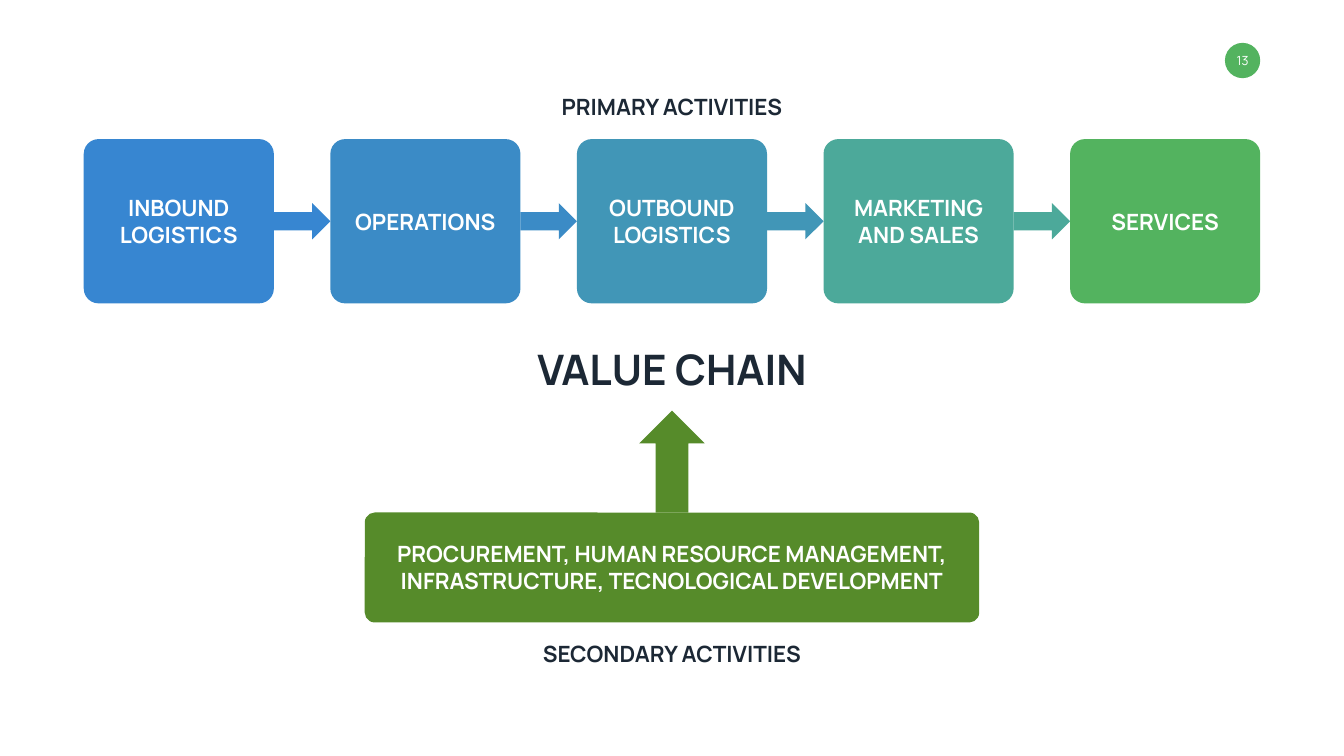
from dataclasses import dataclass
from pptx import Presentation
from pptx.dml.color import RGBColor
from pptx.enum.shapes import MSO_SHAPE
from pptx.enum.text import MSO_ANCHOR, MSO_AUTO_SIZE, PP_ALIGN
from pptx.util import Cm, Pt

ROUND, OVAL = MSO_SHAPE.ROUNDED_RECTANGLE, MSO_SHAPE.OVAL
RIGHT, UP = MSO_SHAPE.RIGHT_ARROW, MSO_SHAPE.UP_ARROW
MIDDLE, CENTER, FIXED = MSO_ANCHOR.MIDDLE, PP_ALIGN.CENTER, MSO_AUTO_SIZE.NONE

TITLE = "VALUE CHAIN"
PAGE = "13"
STEPS = [
    ("INBOUND LOGISTICS", "3786D1"),
    ("OPERATIONS", "3B8BC6"),
    ("OUTBOUND LOGISTICS", "4196B7"),
    ("MARKETING AND SALES", "4CA99A"),
    ("SERVICES", "53B35F"),
]
SUPPORT = ("PROCUREMENT, HUMAN RESOURCE MANAGEMENT, "
           "INFRASTRUCTURE, TECNOLOGICAL DEVELOPMENT")
LABELS = [  # text, top, width
    ("PRIMARY ACTIVITIES", 4.57, 12.17),
    ("SECONDARY ACTIVITIES", 32.11, 14.1),
]


@dataclass(frozen=True)
class Theme:
    """Font, colours and type sizes."""
    font: str = "Manrope"
    dark: str = "1C2835"
    light: str = "FFFFFF"
    badge: str = "53B35F"
    base: str = "568B2A"
    title: int = 60
    body: int = 32
    small: int = 18


THEME = Theme()
WIDE, HIGH = 67.72, 38.1
EDGE = 4.22
BOX_W, BOX_H, BOX_TOP = 9.58, 8.28, 7.01
STEP = (WIDE - 2 * EDGE - BOX_W) / (len(STEPS) - 1)
ARROW_H = 1.83
BASE_W, BASE_H, BASE_TOP = 30.96, 5.54, 25.83
STEM_W, STEM_H = 3.3, 5.13
BADGE = 1.78


def mid(width):
    """Return the left edge that centres a width on the slide."""
    return (WIDE - width) / 2


def write(shape, text, size, color, bold=True, wrap=True, pad=0.25):
    """Put centred text into a shape."""
    frame = shape.text_frame
    frame.text = text
    para = frame.paragraphs[0]
    font = para.runs[0].font
    side = Cm(pad)
    formats = [
        (frame, {"word_wrap": wrap, "auto_size": FIXED,
                 "vertical_anchor": MIDDLE,
                 "margin_left": side, "margin_right": side}),
        (para, {"alignment": CENTER}),
        (font, {"name": THEME.font, "size": Pt(size), "bold": bold}),
    ]
    for part, values in formats:
        for key, value in values.items():
            setattr(part, key, value)
    font.color.rgb = RGBColor.from_string(color)


def draw(slide, kind, box, color):
    """Add a flat filled shape without outline."""
    shape = slide.shapes.add_shape(kind, *map(Cm, box))
    shape.shadow.inherit = False
    shape.fill.solid()
    shape.fill.fore_color.rgb = RGBColor.from_string(color)
    shape.line.fill.background()
    if kind == ROUND:
        shape.adjustments[0] = 0.09
    return shape


def add_title(slide):
    """Place the title between the two groups of activities."""
    title = slide.shapes.title
    box = (mid(14.78), 17.17, 14.78, 2.82)
    for key, value in zip(("left", "top", "width", "height"), box):
        setattr(title, key, Cm(value))
    write(title, TITLE, THEME.title, THEME.dark, wrap=False)


def add_steps(slide):
    """Draw the row of primary activities and the arrows between them."""
    for i, (text, color) in enumerate(STEPS):
        left = EDGE + i * STEP
        box = draw(slide, ROUND, (left, BOX_TOP, BOX_W, BOX_H), color)
        write(box, text, THEME.body, THEME.light, pad=0.45)
        if i < len(STEPS) - 1:
            top = BOX_TOP + (BOX_H - ARROW_H) / 2
            draw(slide, RIGHT,
                 (left + BOX_W, top, STEP - BOX_W, ARROW_H), color)


def add_base(slide):
    """Draw the secondary activities and the arrow to the title."""
    box = draw(slide, ROUND, (mid(BASE_W), BASE_TOP, BASE_W, BASE_H),
               THEME.base)
    write(box, SUPPORT, THEME.body, THEME.light)
    draw(slide, UP, (mid(STEM_W), BASE_TOP - STEM_H, STEM_W, STEM_H),
         THEME.base)


def add_labels(slide):
    """Write the name of each group."""
    for text, top, width in LABELS:
        box = slide.shapes.add_textbox(*map(Cm, (mid(width), top, width, 1.63)))
        write(box, text, THEME.body, THEME.dark, wrap=False)


def add_badge(slide):
    """Draw the page number in its circle."""
    left = WIDE - EDGE - BADGE
    dot = draw(slide, OVAL, (left, 2.16, BADGE, BADGE), THEME.badge)
    write(dot, PAGE, THEME.small, THEME.light, bold=False, wrap=False, pad=0)


def main():
    """Build and save the slide."""
    deck = Presentation()
    deck.slide_width, deck.slide_height = Cm(WIDE), Cm(HIGH)
    slide = deck.slides.add_slide(deck.slide_layouts[5])
    for add in (add_badge, add_title, add_steps, add_base, add_labels):
        add(slide)
    deck.save("out.pptx")


main()
